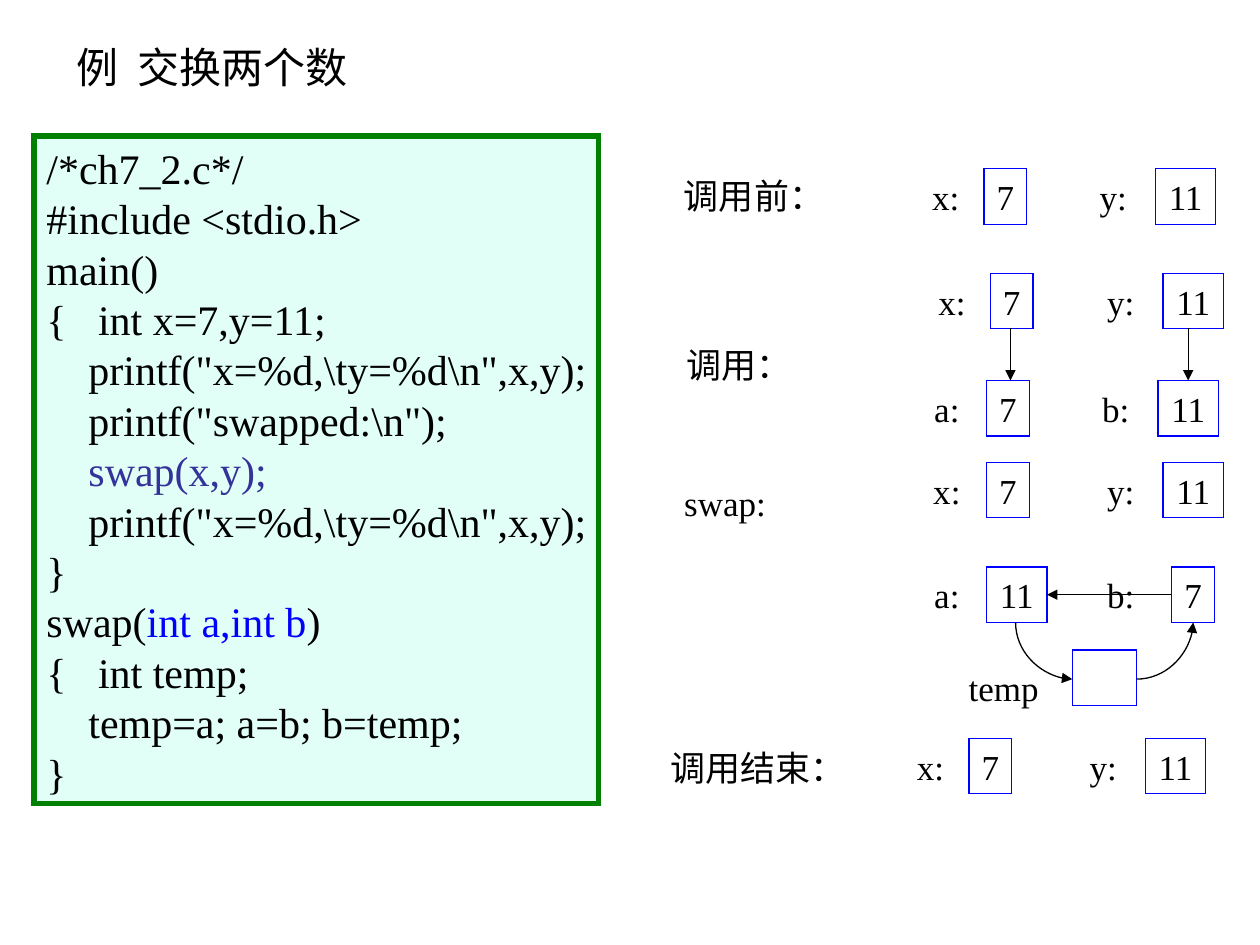
from dataclasses import dataclass
from lxml.etree import SubElement
from pptx import Presentation
from pptx.dml.color import RGBColor
from pptx.enum.shapes import MSO_CONNECTOR as Link, MSO_SHAPE as Shape
from pptx.enum.text import MSO_ANCHOR as Anchor, MSO_AUTO_SIZE as Fit, PP_ALIGN as Align
from pptx.oxml.ns import qn
from pptx.util import Inches, Pt

FONT = "Times New Roman"
BLACK, BLUE, INDIGO, GREEN, MINT = "000000", "0000FF", "333399", "008000", "E1FFF7"
HIGH = 0.44
WIDTHS = {"7": 0.34, "11": 0.48}


@dataclass
class Var:
    """A variable: its name and its boxed value."""
    name: str
    left: float
    value: str
    box: float


@dataclass
class Row:
    top: float
    vars: list[Var]


@dataclass
class Label:
    text: str
    left: float
    top: float
    width: float


ROWS = [
    Row(1.34, [Var("x:", 7.3, "7", 7.81), Var("y:", 8.63, "11", 9.17)]),
    Row(2.17, [Var("x:", 7.35, "7", 7.86), Var("y:", 8.69, "11", 9.23)]),
    Row(3.02, [Var("a:", 7.31, "7", 7.83), Var("b:", 8.65, "11", 9.19)]),
    Row(3.67, [Var("x:", 7.31, "7", 7.83), Var("y:", 8.69, "11", 9.23)]),
    Row(4.5, [Var("a:", 7.31, "11", 7.83), Var("b:", 8.69, "7", 9.3)]),
    Row(5.86, [Var("x:", 7.18, "7", 7.69), Var("y:", 8.55, "11", 9.09)]),
]
LABELS = [
    Label("调用前：", 5.33, 1.33, 1.31),
    Label("调用：", 5.35, 2.67, 1.03),
    Label("swap:", 5.33, 3.77, 0.85),
    Label("temp", 7.59, 5.24, 0.75),
    Label("调用结束：", 5.22, 5.87, 1.59),
]
CODE = r'''/*ch7_2.c*/
#include <stdio.h>
main()
{   int x=7,y=11;
    printf("x=%d,\ty=%d\n",x,y);
    printf("swapped:\n");
    swap(x,y);
    printf("x=%d,\ty=%d\n",x,y);
}
swap(int a,int b)
{   int temp;
    temp=a; a=b; b=temp;
}'''
# Coloured parts of code lines
MARKS = {"    swap(x,y);": ("swap(x,y);", INDIGO),
         "swap(int a,int b)": ("int a,int b", BLUE)}


def paint(color: str) -> RGBColor:
    return RGBColor.from_string(color)


def style(run, size: float, color: str = BLACK) -> None:
    run.font.name, run.font.size = FONT, Pt(size)
    run.font.color.rgb = paint(color)


def set_frame(frame, anchor) -> None:
    frame.word_wrap = False
    frame.auto_size = Fit.NONE
    frame.vertical_anchor = anchor


def set_text(frame, text: str, size: float, align, anchor) -> None:
    set_frame(frame, anchor)
    frame.text = text
    frame.paragraphs[0].alignment = align
    style(frame.paragraphs[0].runs[0], size)


def add_label(slide, item: Label) -> None:
    box = slide.shapes.add_textbox(
        Inches(item.left), Inches(item.top), Inches(item.width), Inches(HIGH))
    frame = box.text_frame
    frame.margin_left = frame.margin_right = Inches(0.05)
    set_text(frame, item.text, 20, Align.CENTER, Anchor.MIDDLE)


def add_box(slide, left: float, top: float, width: float, high: float = HIGH,
            line: str = BLUE, weight: float = 0.75):
    box = slide.shapes.add_shape(
        Shape.RECTANGLE, Inches(left), Inches(top), Inches(width), Inches(high))
    box.shadow.inherit = False
    box.fill.background()
    box.line.color.rgb, box.line.width = paint(line), Pt(weight)
    # Square corners
    SubElement(box._element.spPr.find(qn("a:ln")), qn("a:miter"), lim="800000")
    return box


def add_row(slide, row: Row) -> None:
    for var in row.vars:
        box = add_box(slide, var.box, row.top, WIDTHS[var.value])
        set_text(box.text_frame, var.value, 20, Align.CENTER, Anchor.MIDDLE)
        add_label(slide, Label(var.name, var.left, row.top, 0.41))


def add_arrow(slide, x1: float, y1: float, x2: float, y2: float, kind=Link.STRAIGHT):
    arrow = slide.shapes.add_connector(
        kind, Inches(x1), Inches(y1), Inches(x2), Inches(y2))
    arrow.line.color.rgb, arrow.line.width = paint(BLACK), Pt(0.75)
    props = arrow._element.spPr
    SubElement(props.find(qn("a:ln")), qn("a:tailEnd"), type="triangle")
    SubElement(props, qn("a:effectLst"))
    if kind == Link.CURVE:
        props.find(qn("a:prstGeom")).set("prst", "curvedConnector2")
    return arrow


def add_code(slide) -> None:
    box = add_box(slide, 0.27, 1.08, 4.48, 5.3, GREEN, 3)
    box.fill.solid()
    box.fill.fore_color.rgb = paint(MINT)
    frame = box.text_frame
    set_frame(frame, Anchor.TOP)
    frame.margin_right = 0
    for num, line in enumerate(CODE.split("\n")):
        para = frame.add_paragraph() if num else frame.paragraphs[0]
        para.alignment = Align.LEFT
        mark, color = MARKS.get(line, ("", BLACK))
        pre, mid, post = line.partition(mark) if mark else (line, "", "")
        for text, tint in ((pre, BLACK), (mid, color), (post, BLACK)):
            if text:
                run = para.add_run()
                run.text = text
                style(run, 24, tint)


def main() -> None:
    deck = Presentation()
    deck.slide_width, deck.slide_height = Inches(10), Inches(7.5)
    slide = deck.slides.add_slide(deck.slide_layouts[5])

    # Title
    title = slide.shapes.title
    title.left, title.top = Inches(0.51), Inches(0.28)
    title.width, title.height = Inches(2.35), Inches(0.5)
    set_text(title.text_frame, "例  交换两个数", 24, Align.LEFT, Anchor.TOP)

    # Code and the states of the variables
    add_code(slide)
    for row in ROWS:
        add_row(slide, row)
    for item in LABELS:
        add_label(slide, item)
    add_box(slide, 8.51, 5.16, 0.51)

    # Values passed to the parameters
    for x in (8.02, 9.43):
        add_arrow(slide, x, 2.6, x, 3.02)

    # Swap by way of temp
    add_arrow(slide, 9.29, 4.72, 8.31, 4.72)
    add_arrow(slide, 9.02, 5.39, 9.47, 4.94, Link.CURVE)
    turn = add_arrow(slide, 8.51, 4.94, 8.06, 5.39, Link.CURVE)
    turn._element.spPr.find(qn("a:xfrm")).set("rot", str(270 * 60000))

    deck.save("out.pptx")


if __name__ == "__main__":
    main()
